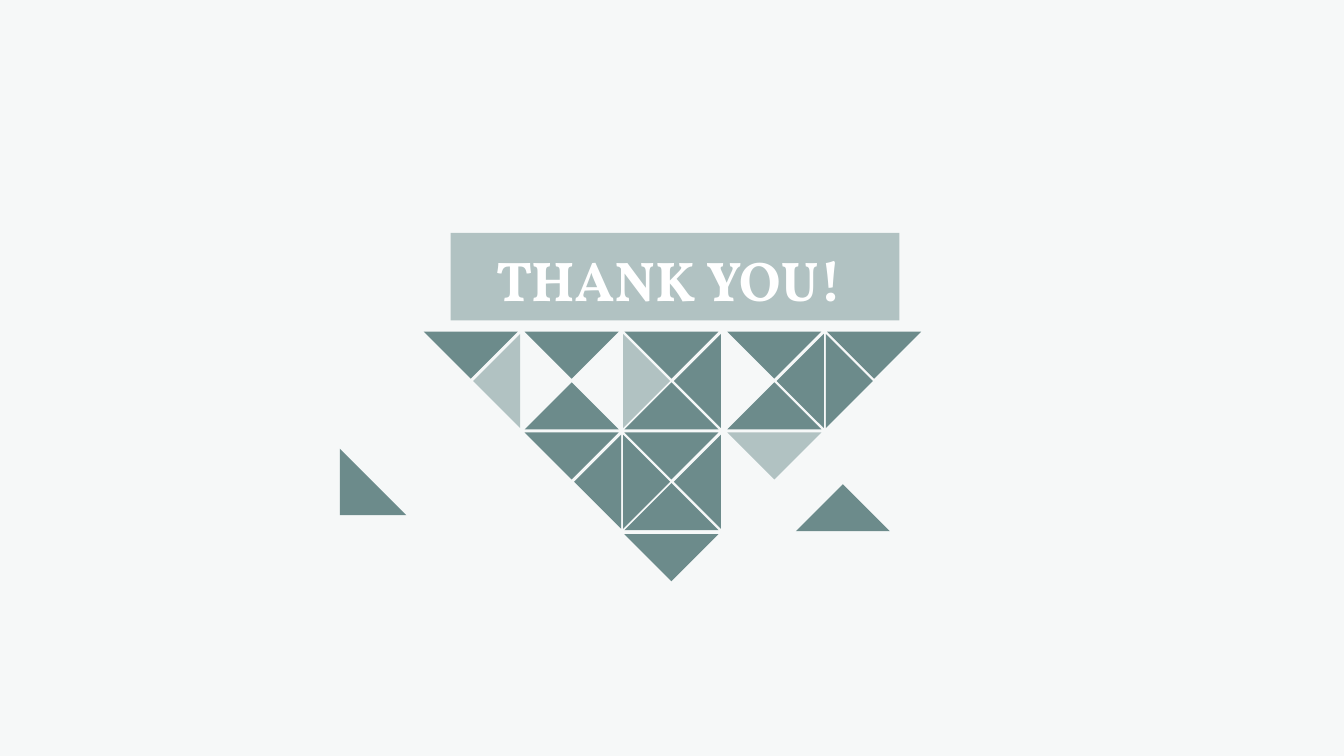
from dataclasses import dataclass

from pptx import Presentation
from pptx.dml.color import RGBColor
from pptx.enum.shapes import MSO_SHAPE
from pptx.enum.text import MSO_AUTO_SIZE, PP_ALIGN
from pptx.util import Inches, Pt


@dataclass(frozen=True)
class Theme:
    background: str = "F6F8F8"
    dark: str = "6C8B8B"
    light: str = "B1C2C2"
    white: str = "FFFFFF"
    font: str = "Vollkorn"
    title_size: int = 40


THEME = Theme()
TRIANGLE_SIZE = 0.66

# Rotation that turns the right angle of a triangle in each direction.
ROTATIONS = {"down": 315, "left": 45, "up": 135, "right": 225, "corner": 0}

# Offset of each triangle from the downward one in the same mosaic cell.
OFFSETS = {"down": (0, 0), "left": (0.49, 0.49), "right": (-0.48, 0.49), "up": (0, 0.97)}

COLUMN_LEFTS = (4.34, 5.34, 6.33, 7.35, 8.34)
ROW_TOPS = (2.96, 3.96, 4.97)
MOSAIC = (
    ("down left", "down up", "down right left up", "down left up", "down right"),
    ("", "down left", "down right left up", "down", ""),
    ("", "", "down", "", ""),
)
LIGHT_TRIANGLES = {(0, 0, "left"), (0, 2, "right"), (1, 3, "down")}


def add_filled_shape(shapes, kind, left, top, width, height, color):
    shape = shapes.add_shape(kind, Inches(left), Inches(top), Inches(width), Inches(height))
    shape.shadow.inherit = False
    shape.fill.solid()
    shape.fill.fore_color.rgb = RGBColor.from_string(color)
    shape.line.fill.background()
    return shape


def add_triangle(shapes, left, top, direction, color=THEME.dark):
    triangle = add_filled_shape(
        shapes, MSO_SHAPE.RIGHT_TRIANGLE, left, top, TRIANGLE_SIZE, TRIANGLE_SIZE, color
    )
    triangle.rotation = ROTATIONS[direction]


def add_mosaic(page):
    """Fill the grid cells with their triangles, all in one group."""
    group = page.shapes.add_group_shape()
    for row, (top, cells) in enumerate(zip(ROW_TOPS, MOSAIC)):
        for column, (left, cell) in enumerate(zip(COLUMN_LEFTS, cells)):
            for direction in cell.split():
                across, down = OFFSETS[direction]
                is_light = (row, column, direction) in LIGHT_TRIANGLES
                color = THEME.light if is_light else THEME.dark
                add_triangle(group.shapes, left + across, top + down, direction, color)


def add_text(page, text, left, top, width, height, *, size, color, bold=False,
             align=PP_ALIGN.CENTER):
    box = page.shapes.add_textbox(Inches(left), Inches(top), Inches(width), Inches(height))
    frame = box.text_frame
    frame.word_wrap = True
    frame.auto_size = MSO_AUTO_SIZE.SHAPE_TO_FIT_TEXT
    para = frame.paragraphs[0]
    para.alignment = align
    span = para.add_run()
    span.text = text
    span.font.name = THEME.font
    span.font.size = Pt(size)
    span.font.bold = bold
    span.font.color.rgb = RGBColor.from_string(color)


def main():
    deck = Presentation()
    deck.slide_width = Inches(13.33)
    deck.slide_height = Inches(7.5)
    page = deck.slides.add_slide(deck.slide_layouts[6])
    page.background.fill.solid()
    page.background.fill.fore_color.rgb = RGBColor.from_string(THEME.background)

    add_triangle(page.shapes, 8.03, 4.94, "up")
    add_mosaic(page)
    add_triangle(page.shapes, 3.37, 4.45, "corner")
    add_filled_shape(page.shapes, MSO_SHAPE.RECTANGLE, 4.47, 2.31, 4.45, 0.87, THEME.light)
    add_text(page, "THANK YOU!", 4.69, 2.39, 3.89, 0.77,
             size=THEME.title_size, color=THEME.white, bold=True)
    deck.save("out.pptx")


if __name__ == "__main__":
    main()
